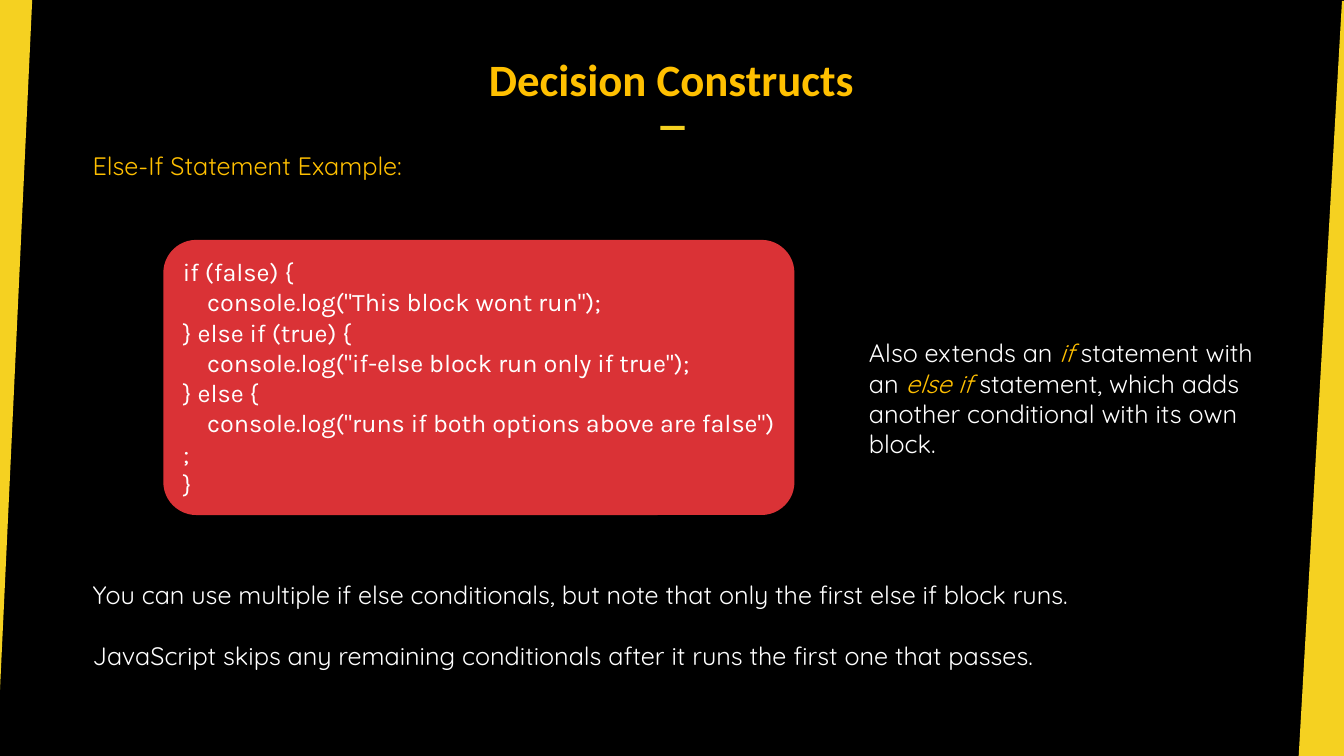
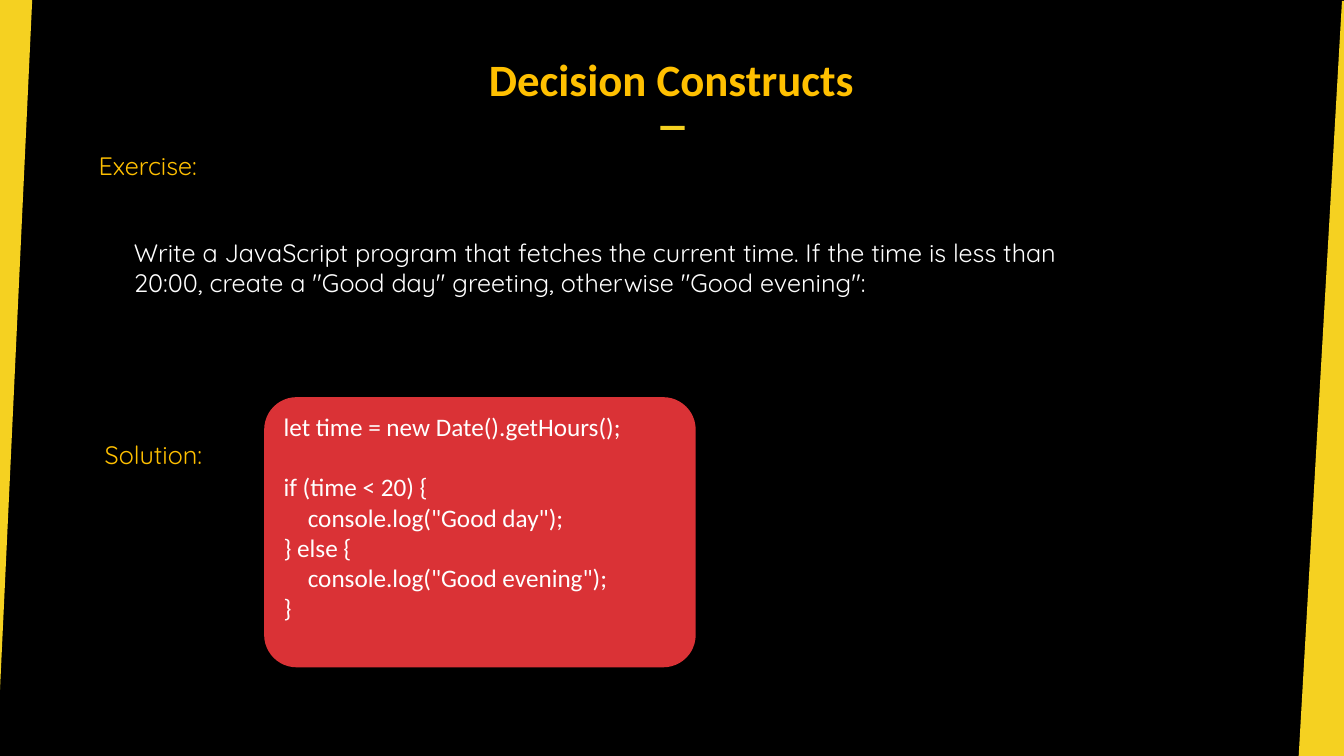
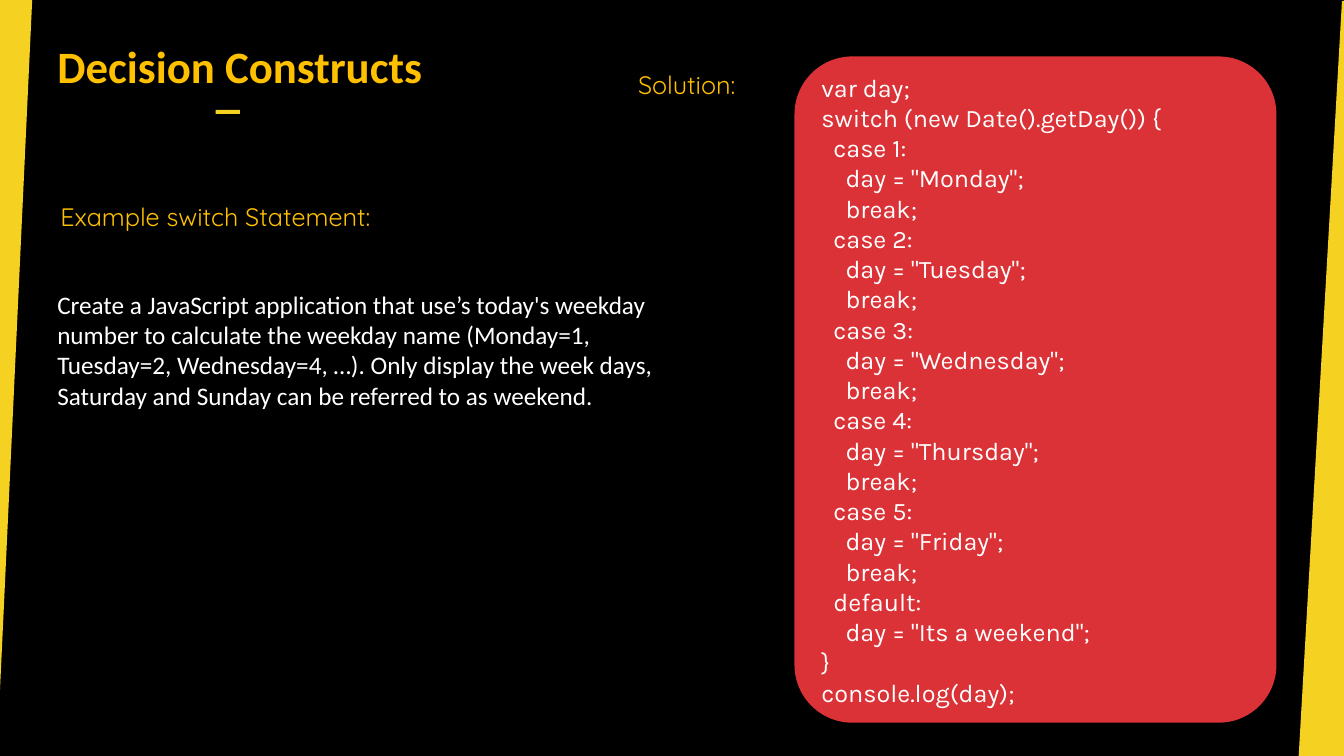
from pptx import Presentation
from pptx.dml.color import RGBColor
from pptx.enum.shapes import MSO_SHAPE
from pptx.enum.text import MSO_ANCHOR, MSO_AUTO_SIZE, PP_ALIGN
from pptx.util import Inches, Pt

ELSE_IF_CODE = """
if (false) {
    console.log("This block wont run");
} else if (true) {
    console.log("if-else block run only if true");
} else {
    console.log("runs if both options above are false");
}
"""

GREETING_CODE = """
let time = new Date().getHours();

if (time < 20) {
    console.log("Good day");
} else {
    console.log("Good evening");
}
"""

WEEKDAYS = ["Monday", "Tuesday", "Wednesday", "Thursday", "Friday"]
CASES = "\n".join(
    f'  case {number}:\n    day = "{weekday}";\n    break;'
    for number, weekday in enumerate(WEEKDAYS, 1)
)
WEEKDAY_CODE = f"""
var day;
switch (new Date().getDay()) {{
{CASES}
  default:
    day = "Its a weekend";
}}
console.log(day);
"""


def color(value):
    return RGBColor.from_string(value)


class Deck:
    BLACK, WHITE, YELLOW, GOLD, RED = "000000", "FFFFFF", "F5D121", "FFC000", "DA3236"
    HEADING, BODY, CODE = "Calibri", "Quicksand", "Karla"
    SIZE = 18
    LINE = Pt(21.6)
    INDENT_STEP = 0.06
    BANDS = [
        [(-0.05, 0), (0.32, 0), (-0.03, 7.5), (-0.05, 7.5)],
        [(13.31, 0.01), (13.33, 0.01), (13.33, 7.51), (12.88, 7.51)],
    ]

    def __init__(self):
        self.presentation = Presentation()
        self.presentation.slide_width = Inches(13.33)
        self.presentation.slide_height = Inches(7.5)
        background = self.presentation.slide_master.background.fill
        background.solid()
        background.fore_color.rgb = color(self.BLACK)
        self.slide = None

    def new_slide(self, title, title_at=(4.75, 0.3), accent_at=(6.55, 1.25)):
        layout = self.presentation.slide_layouts[5]
        self.slide = self.presentation.slides.add_slide(layout)
        for corners in self.BANDS:
            self.band(corners)
        accent_left, accent_top = accent_at
        accent = self.slide.shapes.add_shape(
            MSO_SHAPE.RECTANGLE, Inches(accent_left), Inches(accent_top),
            Inches(0.24), Inches(0.04))
        self.paint(accent, self.YELLOW)
        self.title(title, *title_at)

    def title(self, text, left, top):
        heading = self.slide.shapes.title
        heading.left, heading.top = Inches(left), Inches(top)
        heading.width, heading.height = Inches(3.82), Inches(0.75)
        frame = heading.text_frame
        frame.auto_size = MSO_AUTO_SIZE.NONE
        frame.word_wrap = True
        frame.vertical_anchor = MSO_ANCHOR.BOTTOM
        frame.margin_left = frame.margin_right = Inches(0.02)
        frame.margin_top, frame.margin_bottom = Inches(0.04), 0
        paragraph = frame.paragraphs[0]
        paragraph.alignment = PP_ALIGN.CENTER
        self.run(paragraph, text, self.HEADING, self.GOLD, size=32, bold=True)

    def band(self, corners):
        points = [(Inches(x), Inches(y)) for x, y in corners]
        builder = self.slide.shapes.build_freeform(*points[0])
        builder.add_line_segments(points[1:], close=True)
        self.paint(builder.convert_to_shape(), self.YELLOW)

    def paint(self, shape, fill):
        shape.shadow.inherit = False
        shape.fill.solid()
        shape.fill.fore_color.rgb = color(fill)
        shape.line.fill.background()

    def run(self, paragraph, text, font, ink, size=SIZE, bold=False, italic=False):
        run = paragraph.add_run()
        run.text = text
        run.font.name, run.font.size = font, Pt(size)
        run.font.bold, run.font.italic = bold, italic
        run.font.color.rgb = color(ink)

    def paragraph(self, frame, index):
        paragraph = frame.add_paragraph() if index else frame.paragraphs[0]
        paragraph.alignment = PP_ALIGN.LEFT
        paragraph.line_spacing = self.LINE
        return paragraph

    def text(self, left, top, width, height, paragraphs, font=BODY, ink=WHITE):
        box = self.slide.shapes.add_textbox(
            Inches(left), Inches(top), Inches(width), Inches(height))
        frame = box.text_frame
        frame.word_wrap = True
        frame.auto_size = MSO_AUTO_SIZE.SHAPE_TO_FIT_TEXT
        for index, pieces in enumerate(paragraphs):
            paragraph = self.paragraph(frame, index)
            if index:
                paragraph.space_before = self.LINE
            for piece, keyword in pieces:
                self.run(paragraph, piece, font, self.GOLD if keyword else ink,
                         italic=keyword)

    def plain(self, left, top, width, height, *paragraphs, **style):
        self.text(left, top, width, height, [[(text, False)] for text in paragraphs], **style)

    def label(self, left, top, width, text):
        self.plain(left, top, width, 0.4, text, ink=self.GOLD)

    def code(self, left, top, width, height, source, font=CODE, bottom=0.05):
        panel = self.slide.shapes.add_shape(
            MSO_SHAPE.ROUNDED_RECTANGLE, Inches(left), Inches(top),
            Inches(width), Inches(height))
        panel.adjustments[0] = 0.12
        self.paint(panel, self.RED)
        frame = panel.text_frame
        frame.word_wrap = True
        frame.vertical_anchor = MSO_ANCHOR.MIDDLE
        frame.margin_bottom = Inches(bottom)
        gap = False
        index = 0
        for line in source.strip().splitlines():
            statement = line.lstrip()
            if not statement:
                gap = True
                continue
            paragraph = self.paragraph(frame, index)
            if gap:
                paragraph.space_before = self.LINE
            indent = Inches(self.INDENT_STEP * (len(line) - len(statement)))
            properties = paragraph._p.get_or_add_pPr()
            properties.set("marL", "0")
            properties.set("indent", str(indent))
            self.run(paragraph, statement.replace(" ", chr(160)), font, self.WHITE)
            gap = False
            index += 1


def else_if_slide(deck):
    deck.new_slide("Decision Constructs")
    deck.label(0.82, 1.44, 3.33, "Else-If Statement Example:")
    deck.code(1.62, 2.38, 6.26, 2.73, ELSE_IF_CODE)
    deck.text(8.52, 3.3, 4.36, 1.31, [[
        ("Also extends an ", False),
        ("if", True),
        (" statement with an ", False),
        ("else if ", True),
        ("statement, which adds another conditional with its own block.", False),
    ]])
    deck.plain(
        0.82, 5.7, 11.48, 1.01,
        "You can use multiple if else conditionals, but note that only the first else if block runs.",
        "JavaScript skips any remaining conditionals after it runs the first one that passes.")


def exercise_slide(deck):
    deck.new_slide("Decision Constructs")
    deck.label(0.88, 1.44, 11.45, "Exercise:")
    deck.plain(
        1.23, 2.3, 9.83, 0.71,
        "Write a JavaScript program that fetches the current time. If the time is less than "
        "20:00, create a \"Good day\" greeting, otherwise \"Good evening\":")
    deck.code(2.62, 3.94, 4.28, 2.68, GREETING_CODE, font=deck.HEADING, bottom=0.35)
    deck.label(0.94, 4.31, 11.45, "Solution:")


def switch_slide(deck):
    deck.new_slide("Decision Constructs", title_at=(0.47, 0.17), accent_at=(2.14, 1.09))
    deck.label(0.5, 1.95, 4.07, "Example switch Statement:")
    deck.plain(
        0.47, 2.82, 6.5, 1.31,
        "Create a JavaScript application that use’s today's weekday number to calculate the "
        "weekday name (Monday=1, Tuesday=2, Wednesday=4, …). Only display the week days, "
        "Saturday and Sunday can be referred to as weekend.",
        font=deck.HEADING)
    deck.code(7.88, 0.56, 4.78, 6.61, WEEKDAY_CODE)
    deck.label(6.23, 0.64, 1.44, "Solution:")


def main():
    deck = Deck()
    for build in (else_if_slide, exercise_slide, switch_slide):
        build(deck)
    deck.presentation.save("out.pptx")


if __name__ == "__main__":
    main()
